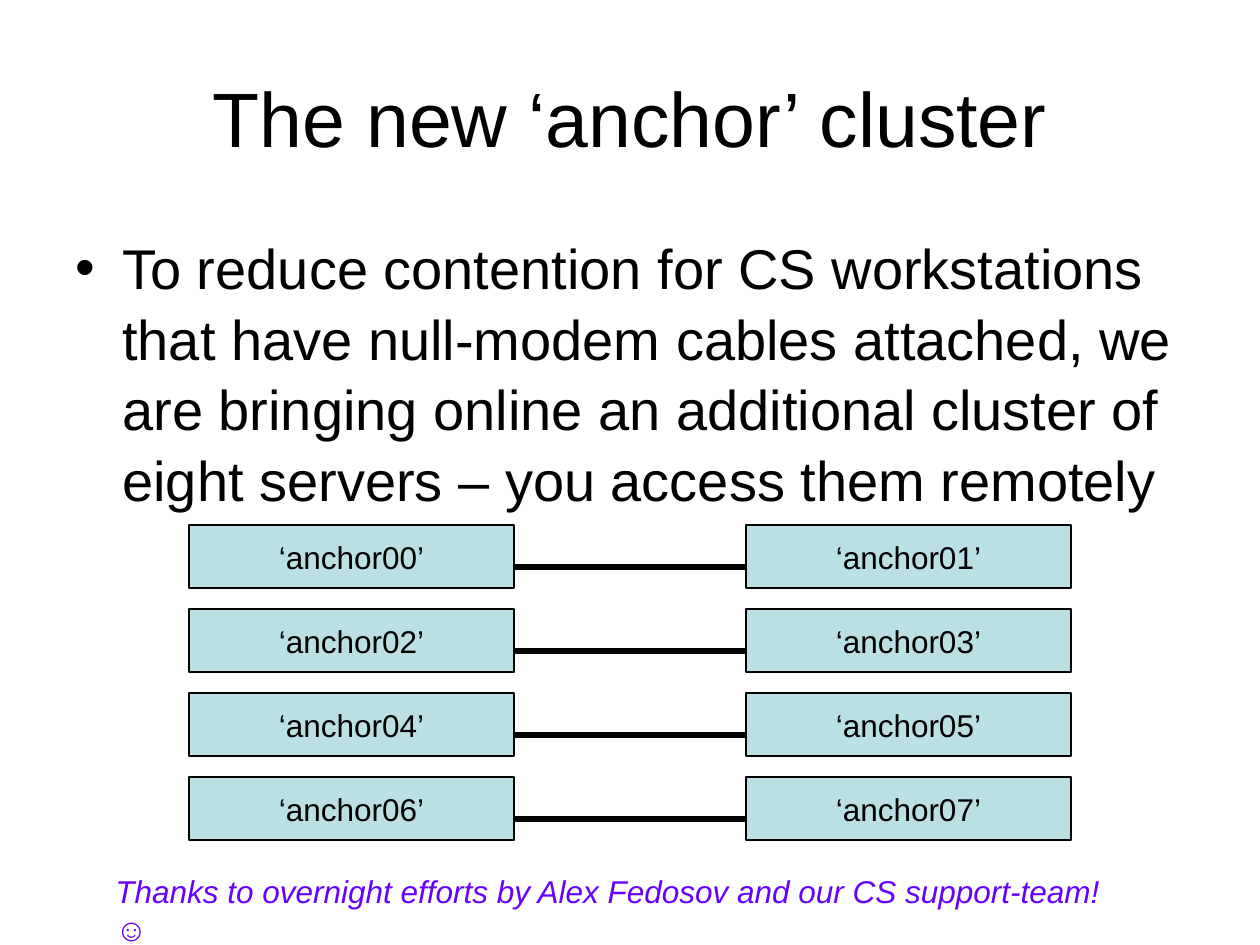
from lxml.etree import SubElement
from pptx import Presentation
from pptx.dml.color import RGBColor as RGB
from pptx.enum.shapes import MSO_CONNECTOR as LINK, MSO_SHAPE as SHAPE
from pptx.enum.text import MSO_ANCHOR as ANCHOR, PP_ALIGN as ALIGN
from pptx.oxml.ns import qn
from pptx.util import Emu, Pt

THEME = {
    "font": "Arial",
    "ink": RGB.from_string("000000"),
    "box": RGB.from_string("BBE0E3"),
    "thanks": RGB.from_string("6600FF"),
    "title": Pt(44),
    "body": Pt(32),
    "label": Pt(18),
}
SCALE = 914400 / 126


def px(*sizes):
    """Turn pixel lengths into EMU."""
    return [Emu(round(n * SCALE)) for n in sizes]


def write(par, text, size, color=THEME["ink"], **more):
    run = par.add_run()
    run.text = text
    run.font.color.rgb = color
    for key, val in {"name": THEME["font"], "size": size, **more}.items():
        setattr(run.font, key, val)


deck = Presentation()
deck.slide_width, deck.slide_height = px(1260, 945)
slide = deck.slides.add_slide(deck.slide_layouts[6])
shapes = slide.shapes

# Title
frame = shapes.add_textbox(*px(63, 38, 1134, 157)).text_frame
frame.word_wrap = True
frame.vertical_anchor = ANCHOR.MIDDLE
par = frame.paragraphs[0]
par.alignment = ALIGN.CENTER
write(par, "The new ‘anchor’ cluster", THEME["title"])

# Bullet
frame = shapes.add_textbox(*px(63, 224, 1134, 620)).text_frame
frame.word_wrap = True
par = frame.paragraphs[0]
par.line_spacing = 1.05
props = par._p.get_or_add_pPr()
indent = px(47)[0]
props.set("marL", str(indent))
props.set("indent", str(-indent))
SubElement(props, qn("a:buFont")).set("typeface", THEME["font"])
SubElement(props, qn("a:buChar")).set("char", "•")
write(par, "To reduce contention for CS workstations that have null-modem cables "
      "attached, we are bringing online an additional cluster of eight servers "
      "– you access them remotely", THEME["body"])

# Server pairs, each joined by a cable
LEFT, RIGHT, TOP, STEP = 189, 746, 525, 84
WIDE, HIGH, DROP = 325, 63, 42
for row in range(4):
    top = TOP + row * STEP
    for col, left in enumerate((LEFT, RIGHT)):
        box = shapes.add_shape(SHAPE.RECTANGLE, *px(left, top, WIDE, HIGH))
        box.shadow.inherit = False
        box.fill.solid()
        box.fill.fore_color.rgb = THEME["box"]
        box.line.color.rgb = THEME["ink"]
        box.line.width = Pt(0.75)
        frame = box.text_frame
        frame.word_wrap = False
        frame.vertical_anchor = ANCHOR.MIDDLE
        par = frame.paragraphs[0]
        par.alignment = ALIGN.CENTER
        write(par, f"‘anchor{2 * row + col:02}’", THEME["label"])
    ends = px(LEFT + WIDE, top + DROP, RIGHT, top + DROP)
    cable = shapes.add_connector(LINK.STRAIGHT, *ends)
    cable.line.color.rgb = THEME["ink"]
    cable.line.width = Pt(3)
    SubElement(cable._element.spPr, qn("a:effectLst"))

# Thanks
frame = shapes.add_textbox(*px(103, 866, 1055, 50)).text_frame
frame.word_wrap = True
par = frame.paragraphs[0]
write(par, "Thanks to overnight efforts by Alex Fedosov and our CS support-team!",
      THEME["label"], THEME["thanks"], italic=True)
par.add_line_break()
write(par, "☺", THEME["label"], THEME["thanks"])

deck.save("out.pptx")
